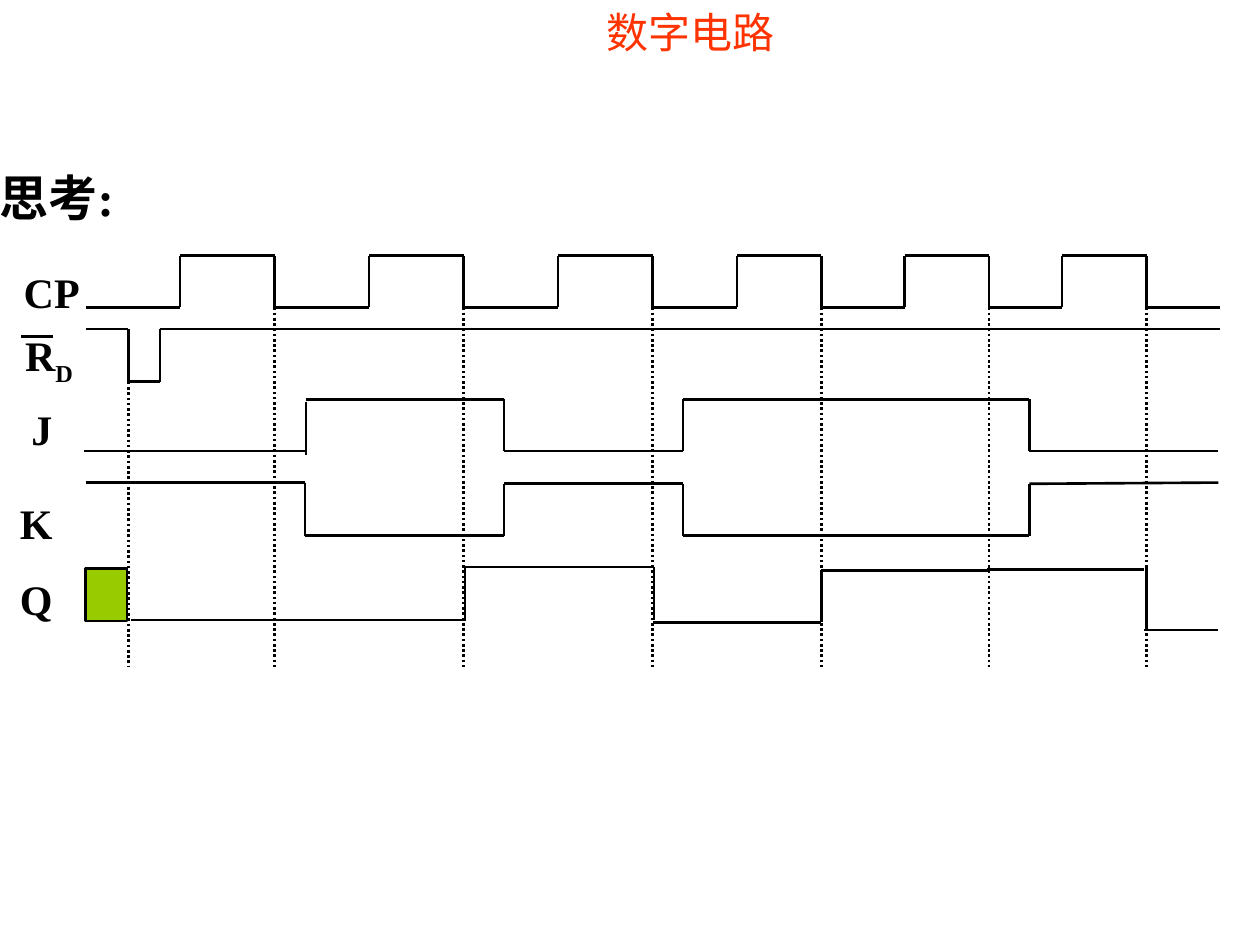
import pptx
import pptx.util
import pptx.dml.color
import pptx.enum.dml
import pptx.enum.shapes
import pptx.enum.text
import pptx.oxml.ns
import lxml.etree

Inches = pptx.util.Inches
Pt = pptx.util.Pt
qn = pptx.oxml.ns.qn
COLORS = {"black": "000000", "red": "FF3300", "green": "99CC00"}
ROMAN = "Times New Roman"
SANS = "Noto Sans CJK SC"


def write(frame, text, size=24, font=ROMAN, color="black", bold=True, align="LEFT", sub=""):
    frame.word_wrap = False
    frame.auto_size = pptx.enum.text.MSO_AUTO_SIZE.NONE
    frame.vertical_anchor = pptx.enum.text.MSO_ANCHOR.TOP
    line = frame.paragraphs[0]
    line.alignment = getattr(pptx.enum.text.PP_ALIGN, align)
    for part, base in ((text, 0), (sub, -25000)):
        if not part:
            continue
        run = line.add_run()
        run.text = part
        run.font.size = Pt(size)
        run.font.bold = bold
        run.font.name = font
        run.font.color.rgb = pptx.dml.color.RGBColor.from_string(COLORS[color])
        props = run._r.get_or_add_rPr()
        lxml.etree.SubElement(props, qn("a:ea")).set("typeface", SANS)
        if base:
            props.set("baseline", str(base))


def trace(shapes, points, dash=None):
    for start, end in zip(points, points[1:]):
        line = shapes.add_connector(
            pptx.enum.shapes.MSO_CONNECTOR.STRAIGHT,
            *(Inches(value) for value in start + end))
        line.line.color.rgb = pptx.dml.color.RGBColor.from_string(COLORS["black"])
        line.line.width = Pt(1.5)
        if dash:
            line.line.dash_style = dash
        lxml.etree.SubElement(line._element.spPr, qn("a:effectLst"))


deck = pptx.Presentation()
deck.slide_width = Inches(10)
deck.slide_height = Inches(7.5)
slide = deck.slides.add_slide(deck.slide_layouts[5])
shapes = slide.shapes

title = shapes.title
title.left, title.top = Inches(4.06), Inches(0)
title.width, title.height = Inches(2.84), Inches(0.6)
write(title.text_frame, "数字电路", font=SANS, color="red", bold=False, align="CENTER")

labels = [
    ("思考:", "", 28, -0.1, 1.28, 1.3, 0.57),
    ("CP", "", 24, 0.09, 2.07, 0.64, 0.5),
    ("R", "D", 24, 0.1, 2.57, 0.58, 0.56),
    ("J", "", 24, 0.15, 3.15, 0.36, 0.5),
    ("K", "", 24, 0.06, 3.9, 0.45, 0.5),
    ("Q", "", 24, 0.06, 4.5, 0.46, 0.5),
]
for text, sub, size, *place in labels:
    box = shapes.add_textbox(*(Inches(value) for value in place))
    write(box.text_frame, text, size=size, sub=sub)

state = shapes.add_shape(
    pptx.enum.shapes.MSO_SHAPE.RECTANGLE,
    Inches(0.68), Inches(4.51), Inches(0.33), Inches(0.42))
state.shadow.inherit = False
state.fill.solid()
state.fill.fore_color.rgb = pptx.dml.color.RGBColor.from_string(COLORS["green"])
state.line.color.rgb = pptx.dml.color.RGBColor.from_string(COLORS["black"])
state.line.width = Pt(1.5)

rises = [1.43, 2.93, 4.43, 5.85, 7.18, 8.43]
falls = [2.18, 3.68, 5.18, 6.52, 7.85, 9.1]
clock = [(0.68, 2.44)]
for rise, fall in zip(rises, falls):
    clock += [(rise, 2.44), (rise, 2.03), (fall, 2.03), (fall, 2.44)]
clock.append((9.68, 2.44))

reset = [(0.68, 2.61), (1.02, 2.61), (1.02, 3.03), (1.27, 3.03), (1.27, 2.61), (9.68, 2.61)]
bar = [(0.17, 2.67), (0.42, 2.67)]

edges = [4, 5.42, 8.17]
wave_j = [(2.43, 3.17)]
wave_k = [(0.68, 3.83), (2.42, 3.83), (2.42, 4.25)]
levels = [(3.17, 3.58), (3.58, 3.17), (3.17, 3.58)]
for edge, (old, new) in zip(edges, levels):
    wave_j += [(edge, old), (edge, new)]
    wave_k += [(edge, 7.42 - old), (edge, 7.42 - new)]
wave_j.append((9.67, 3.58))
wave_k.append((9.67, 3.83))

wave_q = [
    [(1.04, 4.92), (3.7, 4.92)],
    [(3.69, 4.5), (3.69, 4.92)],
    [(3.67, 4.5), (5.17, 4.5)],
    [(5.19, 4.5), (5.19, 4.92)],
    [(5.18, 4.94), (6.52, 4.94), (6.52, 4.53), (7.85, 4.53)],
    [(7.83, 4.52), (9.08, 4.52)],
    [(9.1, 4.5), (9.1, 5)],
    [(9.08, 5), (9.67, 5)],
]
start_j = [[(0.67, 3.58), (2.42, 3.58)], [(2.43, 3.19), (2.43, 3.61)]]
for wave in [clock, reset, bar, *start_j, wave_j, wave_k, *wave_q]:
    trace(shapes, wave)

for left, top in [(1.02, 3.03)] + [(fall, 2.44) for fall in falls]:
    trace(shapes, [(left, top), (left, 5.29)], dash=pptx.enum.dml.MSO_LINE.ROUND_DOT)

deck.save("out.pptx")
